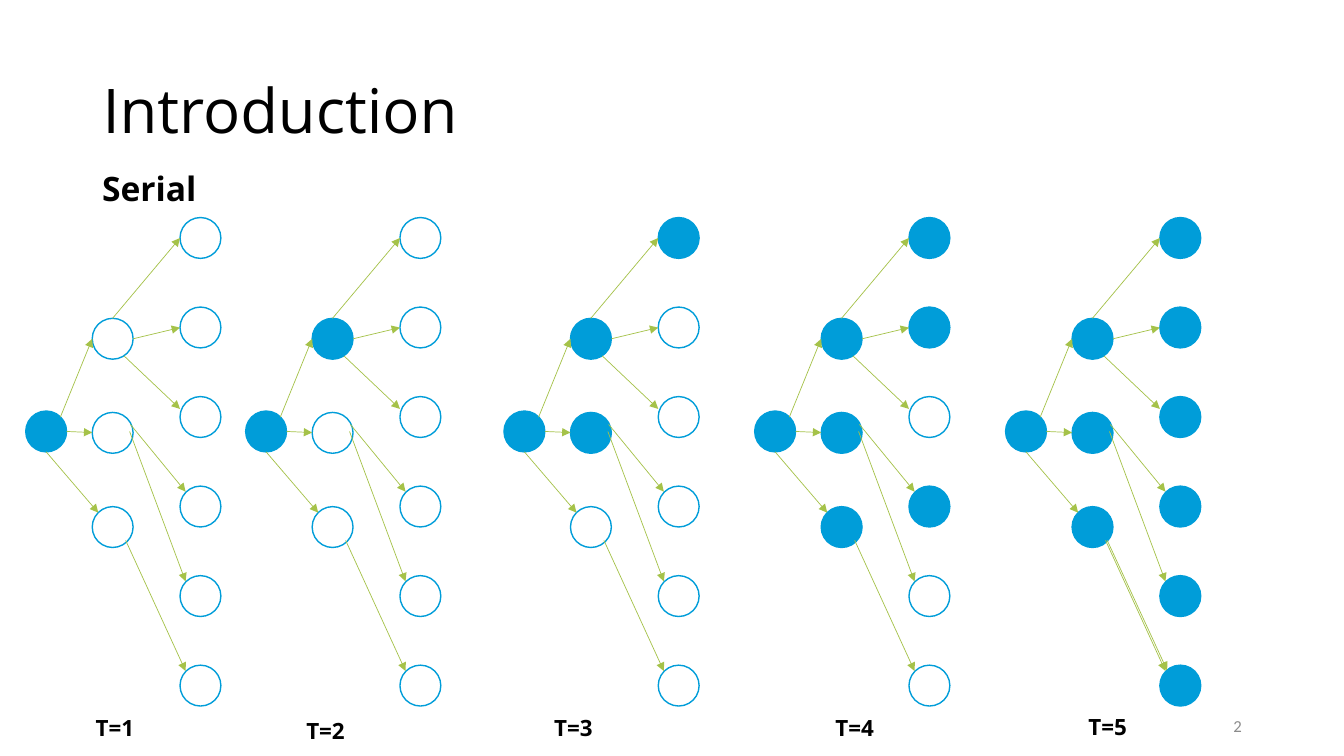
from lxml import etree
from pptx import Presentation
from pptx.dml.color import RGBColor
from pptx.enum.shapes import MSO_CONNECTOR, MSO_SHAPE
from pptx.enum.text import MSO_ANCHOR, PP_ALIGN
from pptx.oxml.ns import qn
from pptx.util import Pt

OVAL = MSO_SHAPE.OVAL
STRAIGHT = MSO_CONNECTOR.STRAIGHT
MIDDLE, BOTTOM = MSO_ANCHOR.MIDDLE, MSO_ANCHOR.BOTTOM
LEFT, RIGHT = PP_ALIGN.LEFT, PP_ALIGN.RIGHT

COLORS = {
    "node": "009DD9",
    "empty": "FFFFFF",
    "arrow": "A5C249",
    "text": "000000",
    "number": "8C8C8C",
}
SLIDE_WIDTH, SLIDE_HEIGHT = 960, 540
NODE_SIZE = 29.2
HEADING_FONT = "Open Sans"
LABEL_WIDTH, LABEL_HEIGHT = 406, 65

LEAF_TOP, LEAF_STEP = 155.4, 63.95
NODES = [(0, 293.6), (47.5, 227.4), (47.5, 294.6), (47.5, 361.9)]
NODES += [(110.2, LEAF_TOP + LEAF_STEP * row) for row in range(6)]

ARROWS = [
    ((24.7, 298), (47.5, 242)),
    ((29.2, 308.2), (47.5, 309)),
    ((14.6, 322.8), (51.8, 366.2)),
    ((62, 227.4), (110.2, 170)),
    ((76.7, 242), (110.2, 234)),
    ((70.2, 254.2), (110.2, 292.1)),
    ((74.8, 303.2), (114.2, 351.2)),
    ((74.2, 308.2), (114.2, 415.3)),
    ((71.4, 386), (114.2, 479.3)),
]
REPEATED_ARROW = ((72.6, 386), (115.4, 478.8))

STEPS = [
    {"label": "T=1", "left": 18.4, "label_at": (61.2, 468), "active": {0},
     "extra": []},
    {"label": "T=2", "left": 175.5, "label_at": (211.7, 470.2), "active": {0, 1},
     "extra": []},
    {"label": "T=3", "left": 360, "label_at": (388.8, 468), "active": {0, 1, 2, 4},
     "extra": []},
    {"label": "T=4", "left": 539.1, "label_at": (589.7, 468),
     "active": {0, 1, 2, 3, 4, 5, 7}, "extra": []},
    {"label": "T=5", "left": 718.3, "label_at": (770.4, 467.6),
     "active": set(range(10)), "extra": [REPEATED_ARROW]},
]


def color(name):
    return RGBColor.from_string(COLORS[name])


def add_text(page, text, area, size, anchor, bold=False, font=HEADING_FONT,
             tint="text", align=LEFT, spacing=0.9, before=0):
    box = page.shapes.add_textbox(*map(Pt, area))
    frame = box.text_frame
    frame.word_wrap = True
    frame.vertical_anchor = anchor
    para = frame.paragraphs[0]
    para.text = text
    para.alignment = align
    para.line_spacing = spacing
    para.space_before = Pt(before)
    para.font.name = font
    para.font.size = Pt(size)
    para.font.bold = bold
    para.font.color.rgb = color(tint)


def add_node(page, left, top, active):
    node = page.shapes.add_shape(OVAL, Pt(left), Pt(top), Pt(NODE_SIZE), Pt(NODE_SIZE))
    node.shadow.inherit = False
    node.fill.solid()
    node.fill.fore_color.rgb = color("node" if active else "empty")
    node.line.color.rgb = color("node")
    node.line.width = Pt(1)


def add_arrow(page, left, start, end):
    arrow = page.shapes.add_connector(
        STRAIGHT, Pt(left + start[0]), Pt(start[1]), Pt(left + end[0]), Pt(end[1]))
    arrow.line.color.rgb = color("arrow")
    arrow.line.width = Pt(0.5)
    properties = arrow.element.spPr
    etree.SubElement(properties.find(qn("a:ln")), qn("a:tailEnd"), type="triangle")
    etree.SubElement(properties, qn("a:effectLst"))


def add_step(page, step):
    for index, (offset, top) in enumerate(NODES):
        add_node(page, step["left"] + offset, top, index in step["active"])
    for start, end in ARROWS + step["extra"]:
        add_arrow(page, step["left"], start, end)


def main():
    deck = Presentation()
    deck.slide_width, deck.slide_height = Pt(SLIDE_WIDTH), Pt(SLIDE_HEIGHT)
    page = deck.slides.add_slide(deck.slide_layouts[6])
    add_text(page, "Introduction", (66.2, 28.8, 828, 104.4), 44, MIDDLE)
    add_text(page, "2", (678.2, 504, 216, 28.8), 12, MIDDLE, font="Calibri",
             tint="number", align=RIGHT, spacing=1.0)
    add_text(page, "Serial", (65.8, 87.8, 406, 64.8), 24, BOTTOM, bold=True, before=10)
    for step in STEPS:
        add_step(page, step)
    for step in STEPS:
        left, top = step["label_at"]
        width = min(LABEL_WIDTH, SLIDE_WIDTH - left)
        add_text(page, step["label"], (left, top, width, LABEL_HEIGHT), 16, BOTTOM,
                 bold=True, before=10)
    deck.save("out.pptx")


if __name__ == "__main__":
    main()
